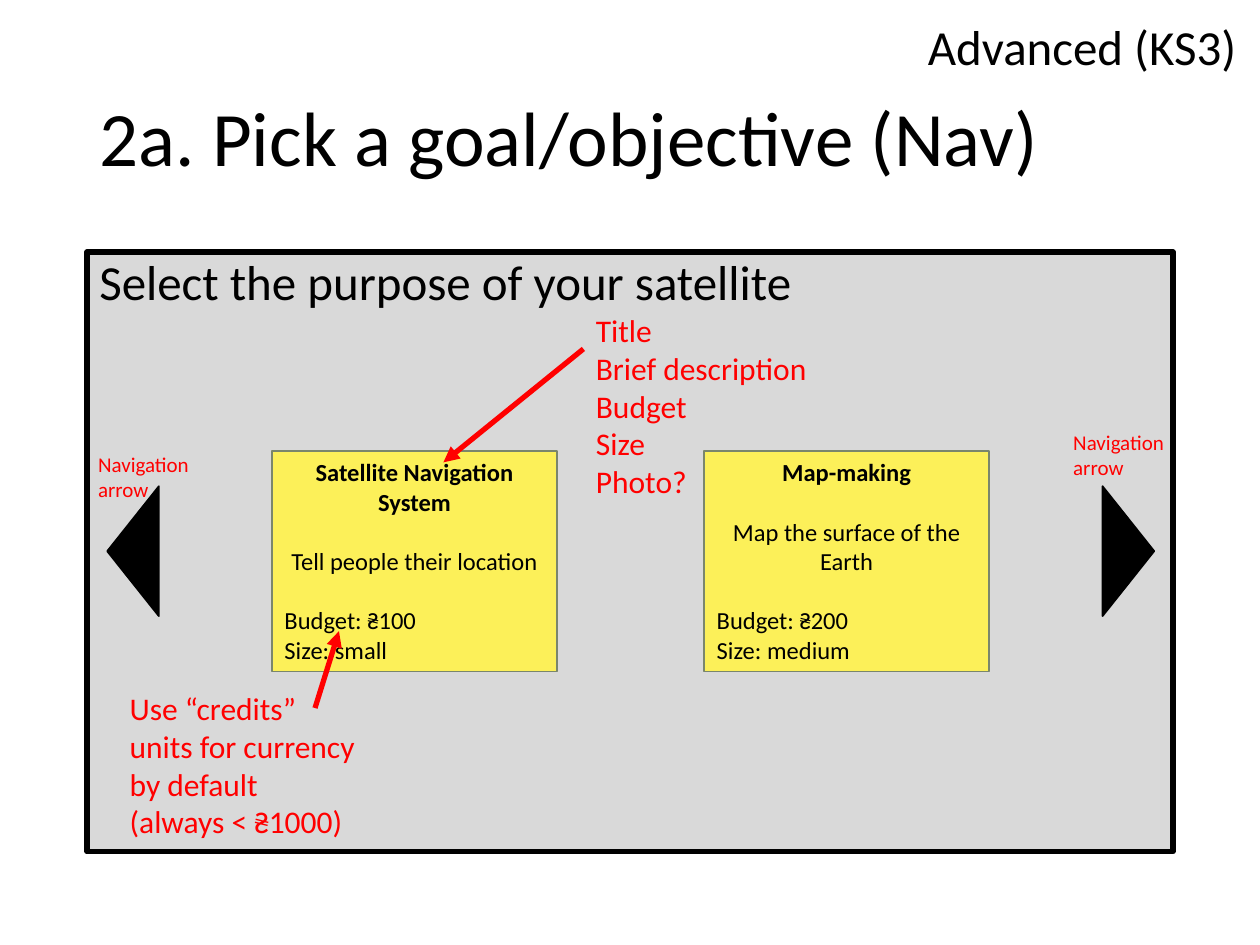
from dataclasses import dataclass

from lxml.etree import SubElement
from pptx import Presentation
from pptx.dml.color import RGBColor
from pptx.enum.shapes import MSO_CONNECTOR as Connector, MSO_SHAPE as Preset
from pptx.enum.text import MSO_ANCHOR as Anchor, MSO_AUTO_SIZE as AutoSize, PP_ALIGN as Align
from pptx.oxml.ns import qn
from pptx.util import Pt


@dataclass(frozen=True)
class Theme:
    font: str = "Calibri"
    ink: str = "000000"
    note: str = "FF0000"
    panel: str = "D9D9D9"
    card: str = "FCF059"
    card_edge: str = "7A866C"
    title_size: int = 44
    heading_size: int = 28
    note_size: int = 18
    card_size: int = 14
    label_size: int = 12


@dataclass(frozen=True)
class Area:
    left: float
    top: float
    width: float
    height: float

    def lengths(self) -> tuple:
        return tuple(Pt(v) for v in (self.left, self.top, self.width, self.height))


@dataclass(frozen=True)
class Line:
    text: str
    align: Align = Align.LEFT
    bold: bool = False
    before: float = 0
    spacing: float = 1


@dataclass(frozen=True)
class Card:
    left: float
    name: str
    description: str
    budget: str
    size: str


@dataclass(frozen=True)
class Note:
    area: Area
    lines: tuple
    size: int
    color: str


@dataclass(frozen=True)
class Arrow:
    start: tuple
    end: tuple


THEME = Theme()
CARD_TOP, CARD_WIDTH, CARD_HEIGHT = 257.8, 162.7, 126
CARD_GAP = 17  # one line of card text

TITLE_AREA = Area(49.7, 28.8, 620.6, 104.4)
PANEL_AREA = Area(49.7, 144, 620.6, 342.7)

CARDS = (
    Card(402.5, "Map-making", "Map the surface of the Earth", "₴200", "medium"),
    Card(155.5, "Satellite Navigation System", "Tell people their location", "₴100", "small"),
)
# Left edge before rotation, and rotation
NAVIGATION = ((607.7, 90), (38.9, 270))
ARROWS = (
    Arrow((333.4, 199.4), (253.4, 264.2)),
    Arrow((180, 404.6), (193.7, 360.7)),
)
FIELDS = ("Title", "Brief description", "Budget", "Size", "Photo?")
CURRENCY = "Use “credits” units for currency by default (always < ₴1000)"
NAVIGATION_LABEL = (Line("Navigation arrow"),)
NOTES = (
    Note(Area(500.4, 5.8, 213.1, 41.2), (Line("Advanced (KS3)", Align.RIGHT),),
         THEME.heading_size, THEME.ink),
    Note(Area(333.4, 174.2, 145.4, 116.6), tuple(Line(field) for field in FIELDS),
         THEME.note_size, THEME.note),
    Note(Area(67, 390.2, 145.4, 94.3), (Line(CURRENCY),), THEME.note_size, THEME.note),
    Note(Area(606.2, 241.9, 71.3, 36), NAVIGATION_LABEL, THEME.label_size, THEME.note),
    Note(Area(49, 254.2, 67.7, 36), NAVIGATION_LABEL, THEME.label_size, THEME.note),
)


def rgb(color: str) -> RGBColor:
    return RGBColor.from_string(color)


def write(box, lines: tuple, size: int, color: str, anchor: Anchor = Anchor.TOP) -> None:
    frame = box.text_frame
    frame.word_wrap = True
    frame.auto_size = AutoSize.NONE
    frame.vertical_anchor = anchor
    for index, line in enumerate(lines):
        para = frame.add_paragraph() if index else frame.paragraphs[0]
        para.alignment = line.align
        para.line_spacing = line.spacing
        para.space_before = Pt(line.before)
        span = para.add_run()
        span.text = line.text
        span.font.name = THEME.font
        span.font.size = Pt(size)
        span.font.bold = line.bold
        span.font.color.rgb = rgb(color)


def add_box(page, preset: Preset, area: Area, fill: str, edge: str, weight: float):
    box = page.shapes.add_shape(preset, *area.lengths())
    box.shadow.inherit = False
    box.fill.solid()
    box.fill.fore_color.rgb = rgb(fill)
    box.line.color.rgb = rgb(edge)
    box.line.width = Pt(weight)
    return box


def add_card(page, card: Card) -> None:
    area = Area(card.left, CARD_TOP, CARD_WIDTH, CARD_HEIGHT)
    box = add_box(page, Preset.RECTANGLE, area, THEME.card, THEME.card_edge, 1)
    lines = (
        Line(card.name, Align.CENTER, bold=True),
        Line(card.description, Align.CENTER, before=CARD_GAP),
        Line(f"Budget: {card.budget}", before=CARD_GAP),
        Line(f"Size: {card.size}"),
    )
    write(box, lines, THEME.card_size, THEME.ink)


def add_note(page, note: Note) -> None:
    box = page.shapes.add_textbox(*note.area.lengths())
    write(box, note.lines, note.size, note.color)


def add_arrow(page, arrow: Arrow) -> None:
    ends = (Pt(value) for value in arrow.start + arrow.end)
    link = page.shapes.add_connector(Connector.STRAIGHT, *ends)
    link.line.color.rgb = rgb(THEME.note)
    link.line.width = Pt(3)
    SubElement(link.line._get_or_add_ln(), qn("a:tailEnd"), type="triangle")
    SubElement(link._element.spPr, qn("a:effectLst"))


def main() -> None:
    deck = Presentation()
    deck.slide_width, deck.slide_height = Pt(720), Pt(540)
    page = deck.slides.add_slide(deck.slide_layouts[5])

    # Title
    title = page.shapes.title
    title.left, title.top, title.width, title.height = TITLE_AREA.lengths()
    write(title, (Line("2a. Pick a goal/objective (Nav)", spacing=0.9),),
          THEME.title_size, THEME.ink, Anchor.MIDDLE)

    # Screen panel with its heading
    panel = add_box(page, Preset.RECTANGLE, PANEL_AREA, THEME.panel, THEME.ink, 3)
    write(panel, (Line("Select the purpose of your satellite", spacing=0.9),),
          THEME.heading_size, THEME.ink)

    # Goal cards
    for card in CARDS:
        add_card(page, card)

    # Navigation triangles
    for left, rotation in NAVIGATION:
        triangle = add_box(page, Preset.ISOSCELES_TRIANGLE, Area(left, 300.2, 74.2, 29.5),
                           THEME.ink, THEME.ink, 1)
        triangle.rotation = rotation

    # Annotations
    for arrow in ARROWS:
        add_arrow(page, arrow)
    for note in NOTES:
        add_note(page, note)

    deck.save("out.pptx")


if __name__ == "__main__":
    main()
